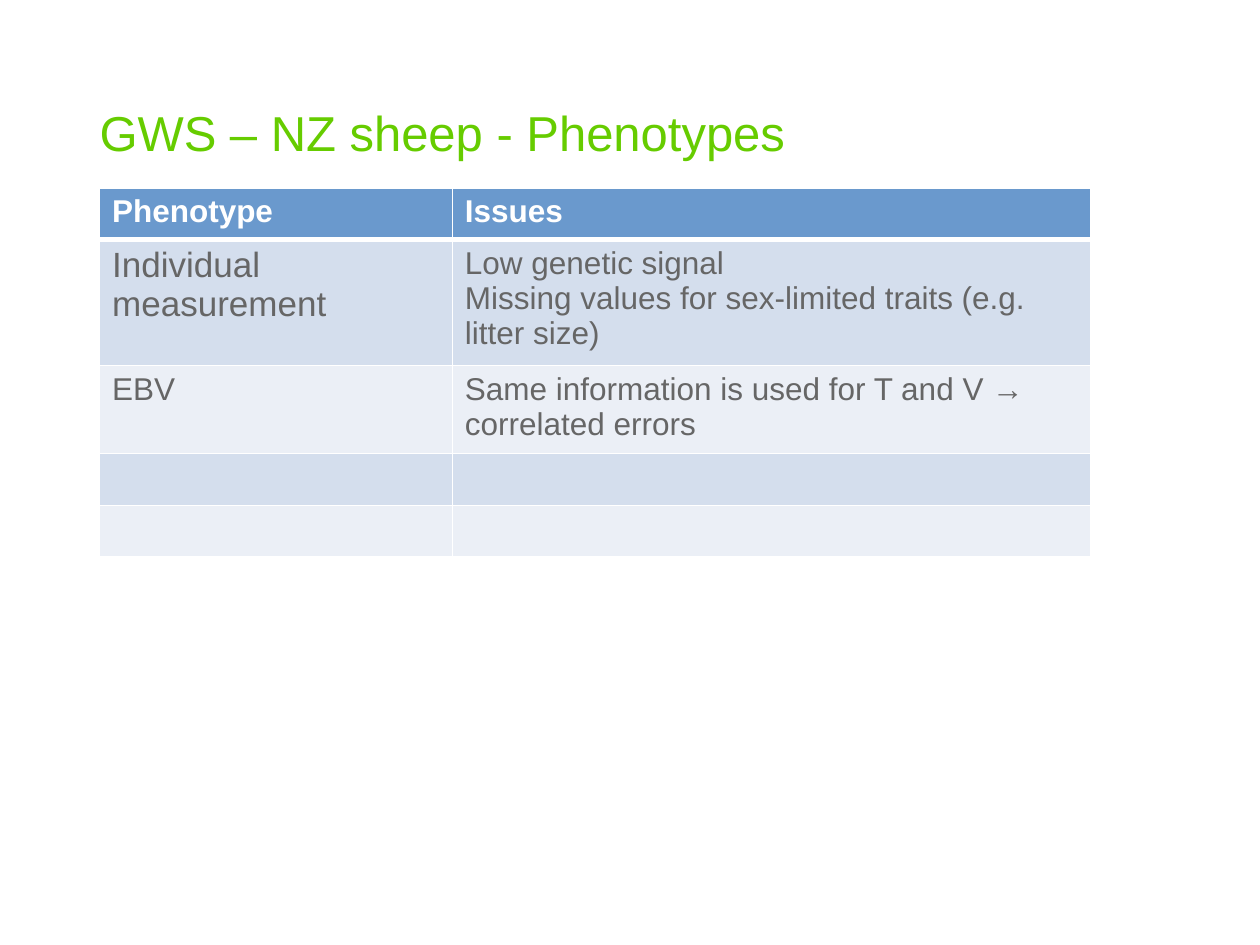
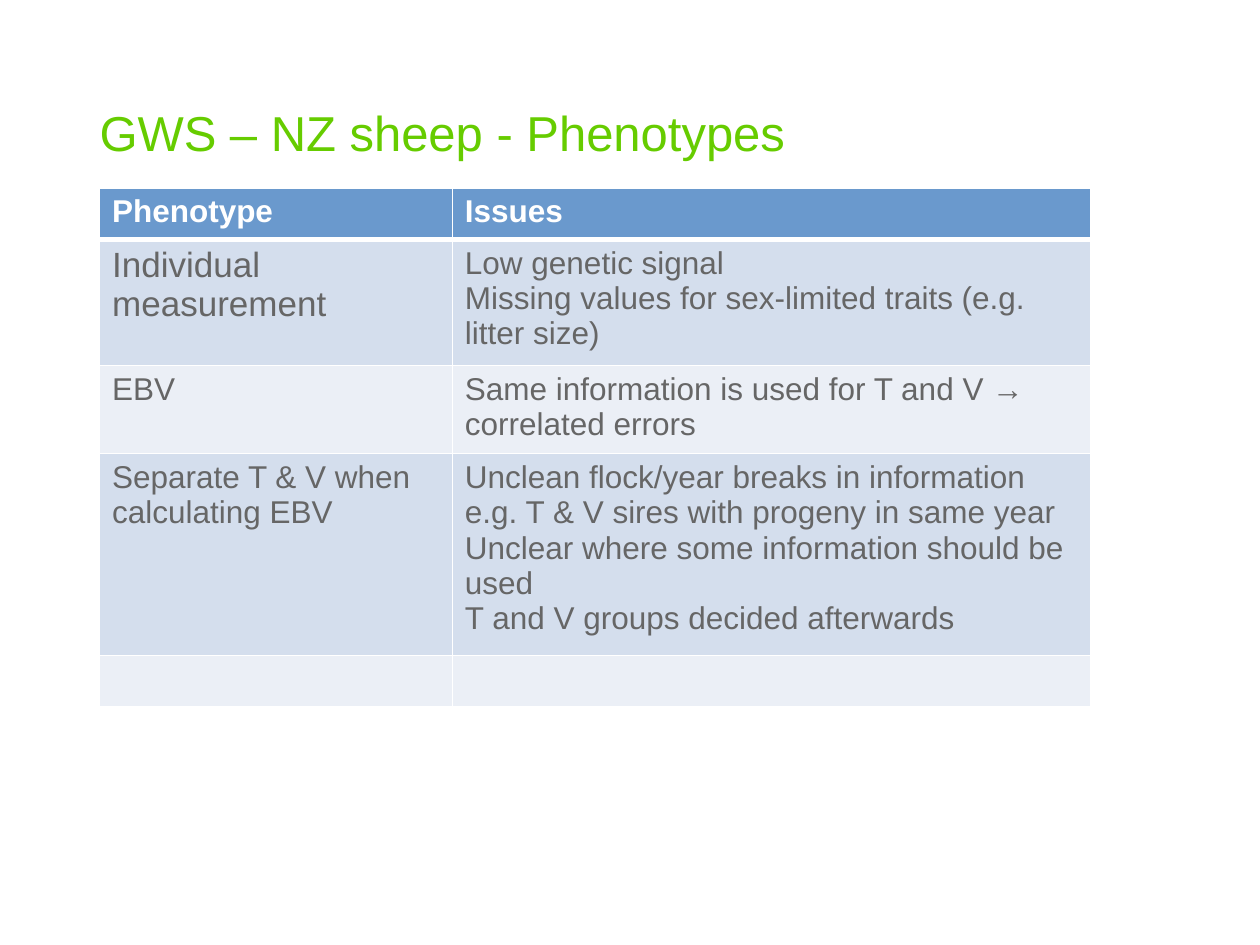
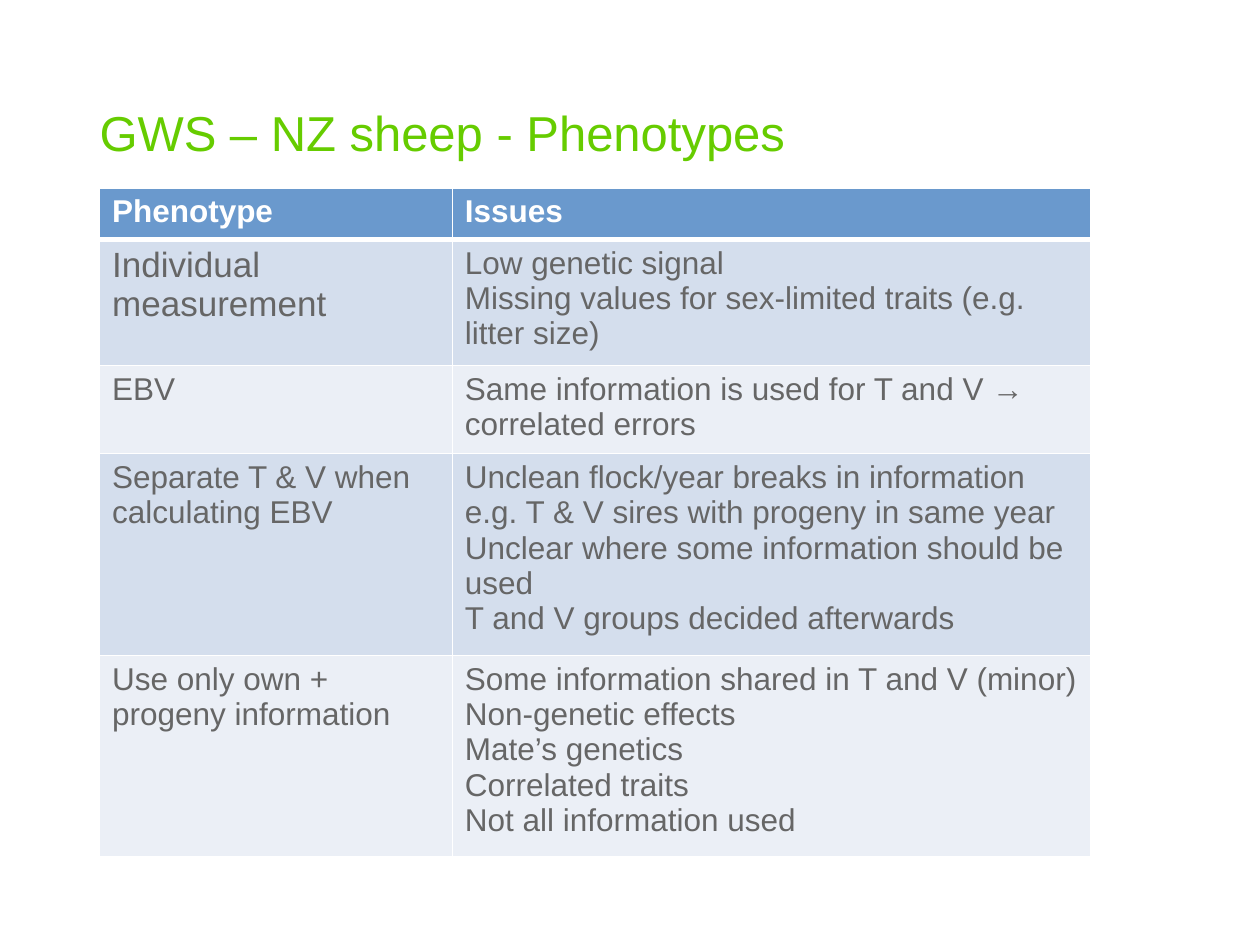
from typing import NamedTuple

from lxml.etree import SubElement
from pptx import Presentation
from pptx.dml.color import RGBColor
from pptx.enum.text import MSO_ANCHOR
from pptx.oxml.ns import qn
from pptx.util import Emu, Inches, Pt

# Shared look
FONT = "Arial"
WHITE = RGBColor(0xFF, 0xFF, 0xFF)
GREEN = RGBColor(0x66, 0xCC, 0x00)
GREY = RGBColor(0x66, 0x66, 0x66)
BLUE = RGBColor(0x6A, 0x99, 0xCD)
BANDS = (RGBColor(0xD4, 0xDE, 0xED), RGBColor(0xEB, 0xEF, 0xF6))

# Slide size, and the layout in percent of it
WIDE, HIGH = Inches(10), Inches(7.5)
LEFT, SPAN = 7.9, 78.7
HEAD_TOP, HEAD_HIGH = 6.53, 10.53
GRID_TOP, ROW_HIGH = 19.87, 5.47
COLS = (28, 50.7)
THIN, THICK = Pt(1), Pt(3)


class Type(NamedTuple):
    size: float
    color: RGBColor
    bold: bool = False


class Row(NamedTuple):
    name: str
    issues: tuple[str, ...]
    size: float = 18


HEAD = Type(28, GREEN)
LABEL = Type(18, WHITE, True)
BODY = Type(18, GREY)

TITLE = "GWS – NZ sheep - Phenotypes"
LABELS = ("Phenotype", "Issues")
ROWS = (
    Row("Individual measurement",
        ("Low genetic signal",
         "Missing values for sex-limited traits (e.g. litter size)"), 20),
    Row("EBV",
        ("Same information is used for T and V → correlated errors",)),
    Row("Separate T & V when calculating EBV",
        ("Unclean flock/year breaks in information "
         "e.g. T & V sires with progeny in same year",
         "Unclear where some information should be used",
         "T and V groups decided afterwards")),
    Row("Use only own + progeny information",
        ("Some information shared in T and V (minor)",
         "Non-genetic effects",
         "Mate’s genetics",
         "Correlated traits",
         "Not all information used")),
)
STEPS = (2, 3, 4)  # rows filled in on each slide


def across(part: float) -> Emu:
    return Emu(round(WIDE * part / 100))


def down(part: float) -> Emu:
    return Emu(round(HIGH * part / 100))


def write(frame, lines: tuple[str, ...], look: Type) -> None:
    """Write one paragraph for each line."""
    for i, line in enumerate(lines):
        para = frame.add_paragraph() if i else frame.paragraphs[0]
        run = para.add_run()
        run.text = line
        font = run.font
        font.name, font.size, font.bold = FONT, Pt(look.size), look.bold
        font.color.rgb = look.color


def edge(cell, side: str, width: Emu) -> None:
    """Rule one side of a cell in white."""
    line = SubElement(cell._tc.get_or_add_tcPr(), qn(f"a:ln{side}"), w=str(width))
    fill = SubElement(line, qn("a:solidFill"))
    SubElement(fill, qn("a:srgbClr"), val=str(WHITE))


def paint(cell, row: int, lines: tuple[str, ...], look: Type) -> None:
    """Rule, fill and write one cell; a thick rule parts labels from body."""
    edge(cell, "L", THIN)
    edge(cell, "R", THIN)
    edge(cell, "T", THICK if row == 1 else THIN)
    edge(cell, "B", THICK if row == 0 else THIN)
    cell.fill.solid()
    cell.fill.fore_color.rgb = BANDS[(row - 1) % 2] if row else BLUE
    write(cell.text_frame, lines, look)


def add_title(slide) -> None:
    box = slide.shapes.add_textbox(
        across(LEFT), down(HEAD_TOP), across(SPAN), down(HEAD_HIGH))
    frame = box.text_frame
    frame.word_wrap = True
    frame.vertical_anchor = MSO_ANCHOR.BOTTOM
    frame.margin_left = frame.margin_right = 0
    frame.margin_top = frame.margin_bottom = 0
    write(frame, (TITLE,), HEAD)
    frame.paragraphs[0].line_spacing = Pt(33)


def add_grid(slide, shown: int) -> None:
    """Draw the table with only the first rows filled in."""
    count = len(ROWS) + 1
    grid = slide.shapes.add_table(
        count, len(COLS), across(LEFT), down(GRID_TOP),
        across(SPAN), down(ROW_HIGH * count)).table
    grid.horz_banding = False
    for col, part in zip(grid.columns, COLS):
        col.width = across(part)

    for j, label in enumerate(LABELS):
        paint(grid.cell(0, j), 0, (label,), LABEL)
    for i, row in enumerate(ROWS, 1):
        full = i <= shown
        name = (row.name,) if full else ()
        paint(grid.cell(i, 0), i, name, BODY._replace(size=row.size))
        paint(grid.cell(i, 1), i, row.issues if full else (), BODY)


def main() -> None:
    deck = Presentation()
    deck.slide_width, deck.slide_height = WIDE, HIGH
    for shown in STEPS:
        slide = deck.slides.add_slide(deck.slide_layouts[6])
        add_title(slide)
        add_grid(slide, shown)
    deck.save("out.pptx")


if __name__ == "__main__":
    main()
